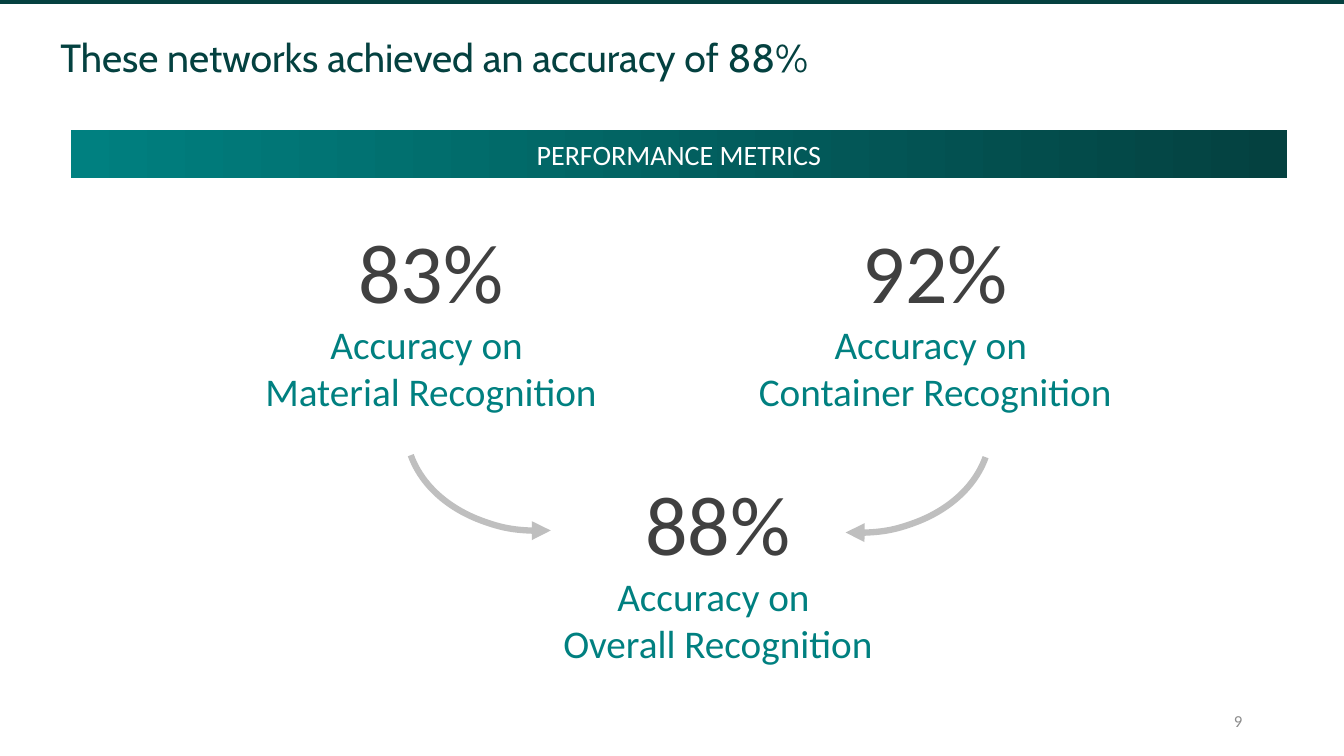
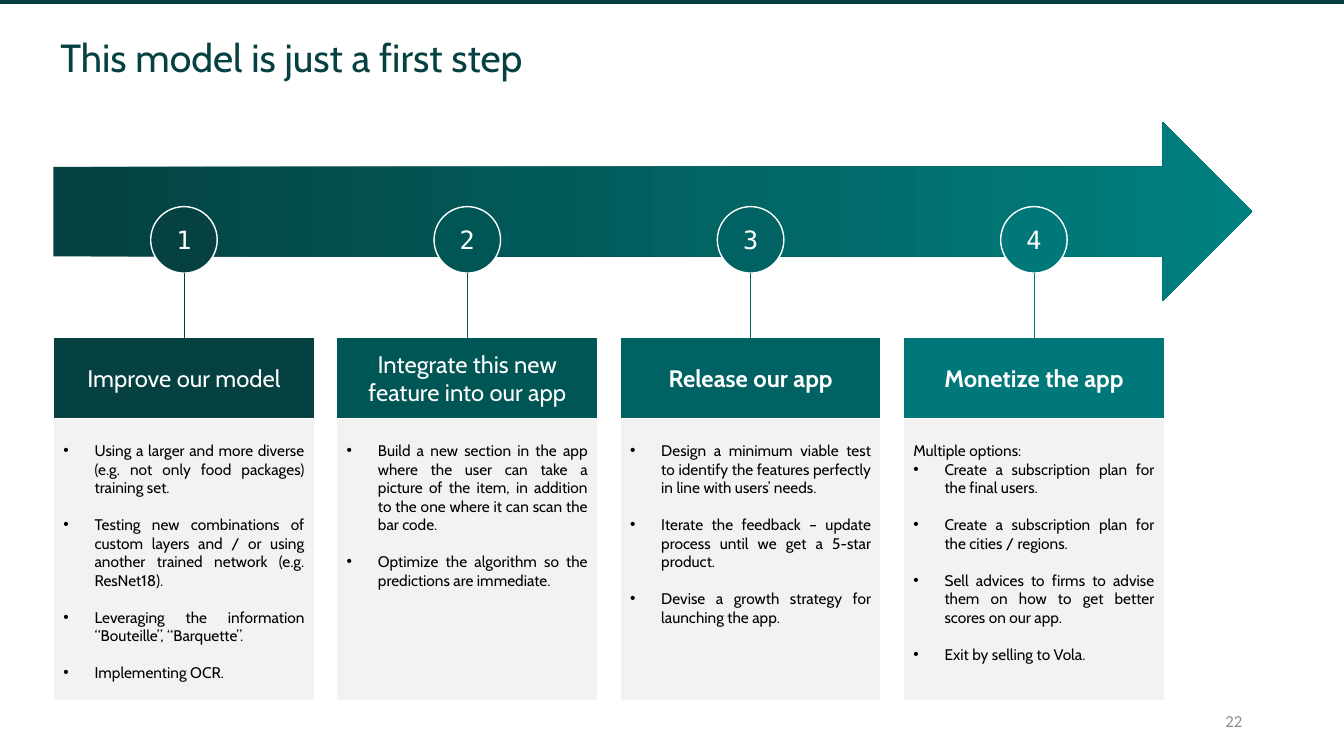
"""Build two slides: accuracy metrics and a four-step roadmap."""
import pptx
import pptx.dml.color
import pptx.enum.shapes
import pptx.enum.text
import pptx.oxml
import pptx.oxml.ns
import pptx.util

Inches, Pt = pptx.util.Inches, pptx.util.Pt
KIND = pptx.enum.shapes.MSO_SHAPE
ALIGN = pptx.enum.text.PP_ALIGN
ANCHOR = pptx.enum.text.MSO_ANCHOR
NS = pptx.oxml.ns.nsdecls("a")

DARK, TEAL, WHITE = "044140", "008080", "FFFFFF"
HEAD, BODY, DIGIT = "Cabin", "Calibri", "DejaVu Sans Mono"

METRICS = [
    ("88%", "Overall Recognition", (4.07, 4.68, 6.1, 1.95)),
    ("83%", "Material Recognition", (2.19, 2.18, 4.17, 1.95)),
    ("92%", "Container Recognition", (7.19, 2.18, 4.17, 1.95)),
]
ARCS = [
    ((4.34, 2.83, 2.12, 2.75), 86.6, ["flipV"]),
    ((7.39, 2.85, 2.12, 2.75), 273.4, ["flipH", "flipV"]),
]
STEPS = [
    ("Improve our model", DARK, False, "", [
        "Using a larger and more diverse (e.g. not only food packages) training set.",
        "Testing new combinations of custom layers and / or using another trained network (e.g. ResNet18).",
        "Leveraging the information “Bouteille”, “Barquette”.",
        "Implementing OCR."]),
    ("Integrate this new feature into our app", "005555", False, "", [
        "Build a new section in the app where the user can take a picture of the item, "
        "in addition to the one where it can scan the bar code.",
        "Optimize the algorithm so the predictions are immediate."]),
    ("Release our app", "006263", True, "", [
        "Design a minimum viable test to identify the features perfectly in line with users’ needs.",
        "Iterate the feedback – update process until we get a 5-star product.",
        "Devise a growth strategy for launching the app."]),
    ("Monetize the app", "007779", True, "Multiple options:", [
        "Create a subscription plan for the final users.",
        "Create a subscription plan for the cities / regions.",
        "Sell advices to firms to advise them on how to get better scores on our app.",
        "Exit by selling to Vola."]),
]
LEFT, PITCH, WIDE = 0.53, 2.81, 2.59
DISC, DISC_TOP, CARD_TOP = 0.66, 2.05, 3.35


def color(code):
    return pptx.dml.color.RGBColor.from_string(code)


def write(frame, text, first=False, size=18, font=BODY, ink=WHITE, bold=False,
          align=ALIGN.CENTER, gap=0, bullet=False):
    para = frame.paragraphs[0] if first else frame.add_paragraph()
    para.alignment = align
    if gap:
        para.space_before = Pt(gap)
    if bullet:
        props = para._p.get_or_add_pPr()
        props.set("marL", str(Inches(0.31)))
        props.set("indent", str(-Inches(0.31)))
        props.append(pptx.oxml.parse_xml(f'<a:buFont {NS} typeface="Arial"/>'))
        props.append(pptx.oxml.parse_xml(f'<a:buChar {NS} char="•"/>'))
    run = para.add_run()
    run.text = text
    run.font.size, run.font.name, run.font.bold = Pt(size), font, bold
    run.font.color.rgb = color(ink)


def shape(slide, kind, box, fill=None, line=None, width=1):
    item = slide.shapes.add_shape(kind, *map(Inches, box))
    item.shadow.inherit = False
    if isinstance(fill, tuple):
        item.fill.gradient()
        item.fill.gradient_angle = 0
        for stop, code in zip(item.fill.gradient_stops, fill):
            stop.color.rgb = color(code)
    elif fill:
        item.fill.solid()
        item.fill.fore_color.rgb = color(fill)
    else:
        item.fill.background()
    if line:
        item.line.color.rgb = color(line)
        item.line.width = Pt(width)
    else:
        item.line.fill.background()
    item.text_frame.vertical_anchor = ANCHOR.MIDDLE
    return item


def area(slide, box, anchor=ANCHOR.MIDDLE, inset=None):
    frame = slide.shapes.add_textbox(*map(Inches, box)).text_frame
    frame.word_wrap = True
    frame.vertical_anchor = anchor
    if inset is not None:
        frame.margin_left = frame.margin_right = Inches(inset)
        frame.margin_top = frame.margin_bottom = Inches(inset)
    return frame


def page(deck, title, number):
    slide = deck.slides.add_slide(deck.slide_layouts[6])
    shape(slide, KIND.RECTANGLE, (0, 0, 13.33, 0.04), DARK)
    write(area(slide, (0.5, 0.04, 12.83, 1.04)), title, first=True, size=28,
          font=HEAD, ink=DARK, align=ALIGN.LEFT)
    write(area(slide, (9.42, 6.95, 3, 0.4)), number, first=True, size=12,
          ink="8C8C8C", align=ALIGN.RIGHT)
    return slide


def metrics(deck):
    slide = page(deck, "These networks achieved an accuracy of 88%", "9")
    bar = shape(slide, KIND.RECTANGLE, (0.7, 1.29, 12.07, 0.48), (TEAL, DARK))
    write(bar.text_frame, "PERFORMANCE METRICS", first=True, size=20)
    for value, label, box in METRICS:
        frame = area(slide, box, ANCHOR.TOP, 0)
        write(frame, value, first=True, size=60, ink="404040")
        for text in ("Accuracy on ", label):
            write(frame, text, size=28, ink=TEAL)
    for box, angle, flips in ARCS:
        arc = shape(slide, KIND.ARC, box, line="BFBFBF", width=4.5)
        arc.adjustments[0] = 167.88
        arc.adjustments[1] = 0
        arc.rotation = angle
        for flip in flips:
            arc._element.spPr.xfrm.set(flip, "1")
        arc._element.spPr.ln.append(
            pptx.oxml.parse_xml(f'<a:tailEnd {NS} type="triangle"/>'))


def step(slide, index, title, fill, bold, lead, points):
    left = LEFT + index * PITCH
    mid, low = left + WIDE / 2, DISC_TOP + DISC
    card = shape(slide, KIND.RECTANGLE, (left, CARD_TOP, WIDE, 0.8), fill, WHITE)
    write(card.text_frame, title, first=True, size=17, font=HEAD, bold=bold)
    disc = shape(slide, KIND.OVAL, (mid - DISC / 2, DISC_TOP, DISC, DISC), fill, WHITE)
    write(disc.text_frame, str(index + 1), first=True, font=DIGIT)
    link = slide.shapes.add_connector(
        pptx.enum.shapes.MSO_CONNECTOR.STRAIGHT,
        *map(Inches, (mid, low, mid, CARD_TOP)))
    link.end_connect(card, 0)
    link.line.color.rgb = color(fill)
    link.line.width = Pt(0.5)
    link._element.spPr.append(pptx.oxml.parse_xml(f"<a:effectLst {NS}/>"))

    panel = shape(slide, KIND.RECTANGLE, (left, 4.15, WIDE, 2.8), "F2F2F2", WHITE)
    frame = panel.text_frame
    frame.vertical_anchor = ANCHOR.TOP
    frame.margin_top = Inches(0.23)
    look = dict(size=11, font=HEAD, ink="000000", align=ALIGN.JUSTIFY)
    if lead:
        write(frame, lead, first=True, **look)
    for place, text in enumerate(points):
        write(frame, text, first=not (place or lead), gap=13.2 if place else 0,
              bullet=True, **look)


def roadmap(deck):
    slide = page(deck, "This model is just a first step", "22")
    shape(slide, KIND.RIGHT_ARROW, (0.53, 1.21, 11.89, 1.78), (DARK, TEAL))
    for index, data in enumerate(STEPS):
        step(slide, index, *data)


def main():
    deck = pptx.Presentation()
    deck.slide_width, deck.slide_height = Inches(13.33), Inches(7.5)
    metrics(deck)
    roadmap(deck)
    deck.save("out.pptx")


if __name__ == "__main__":
    main()
